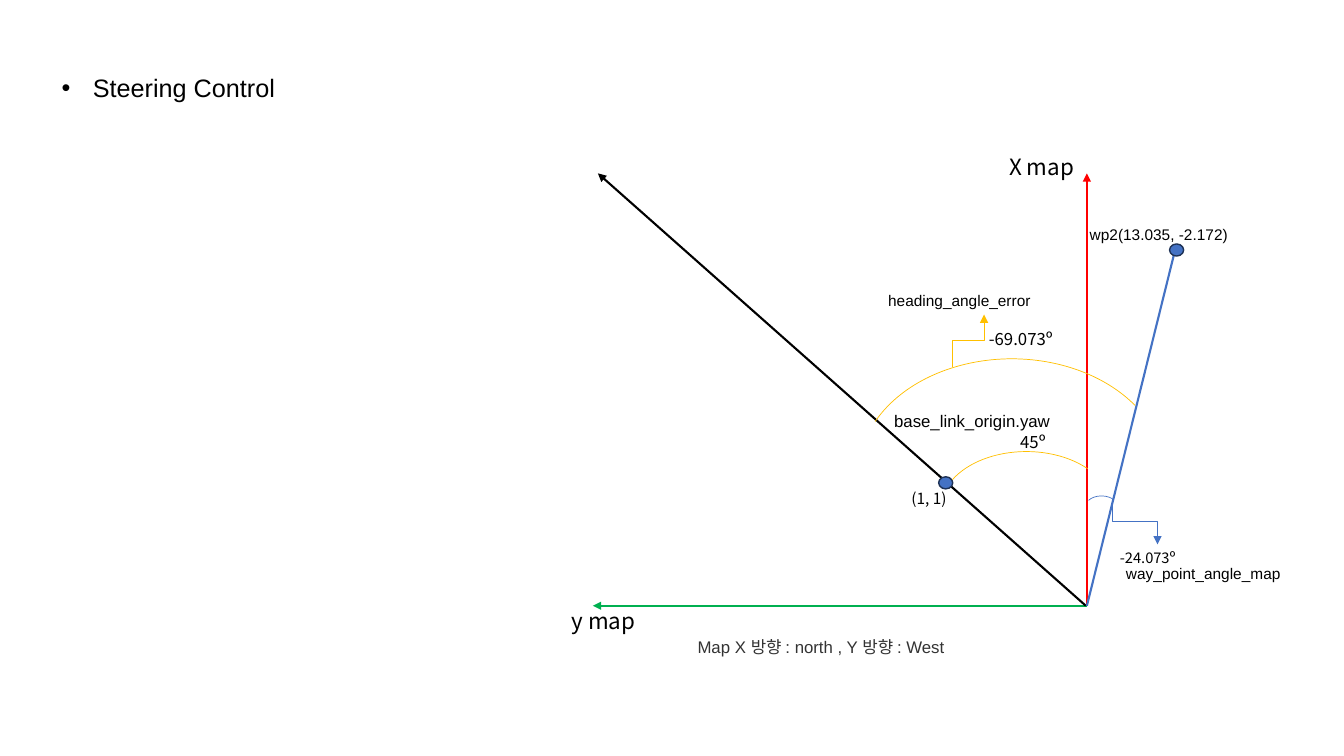
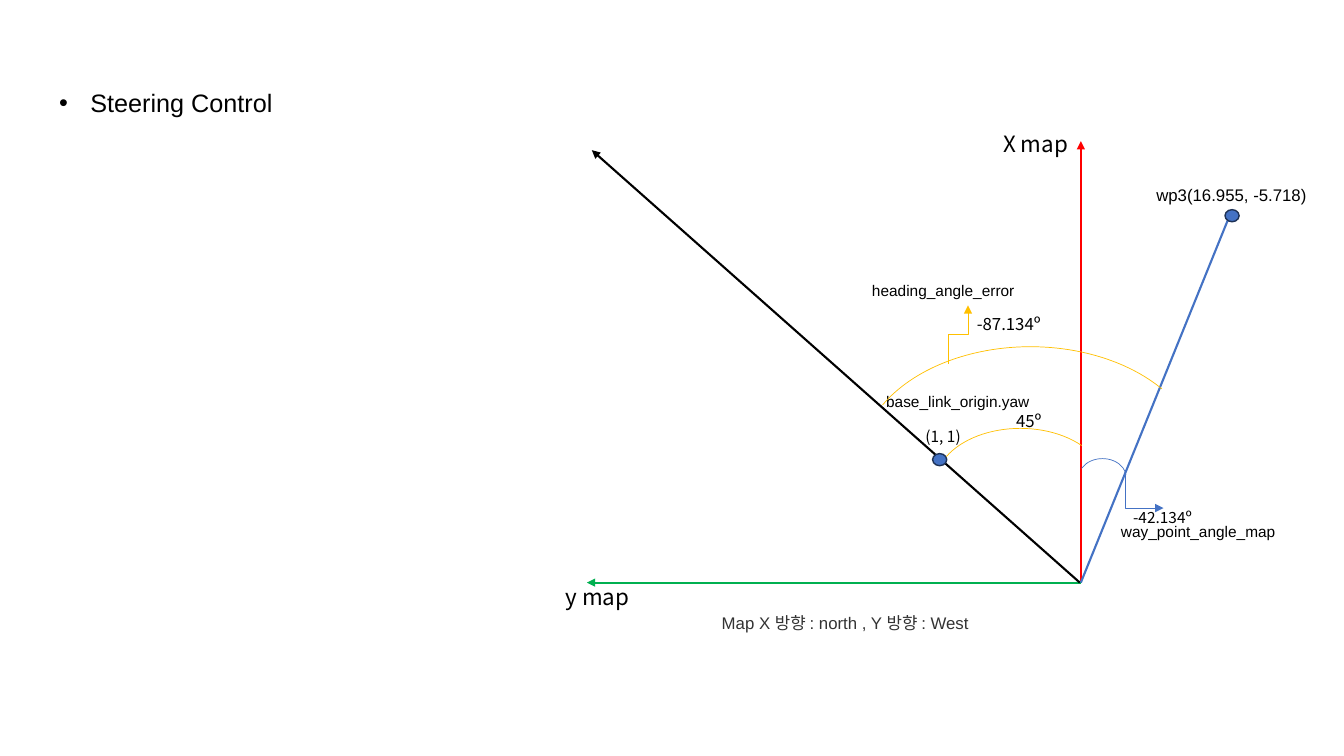
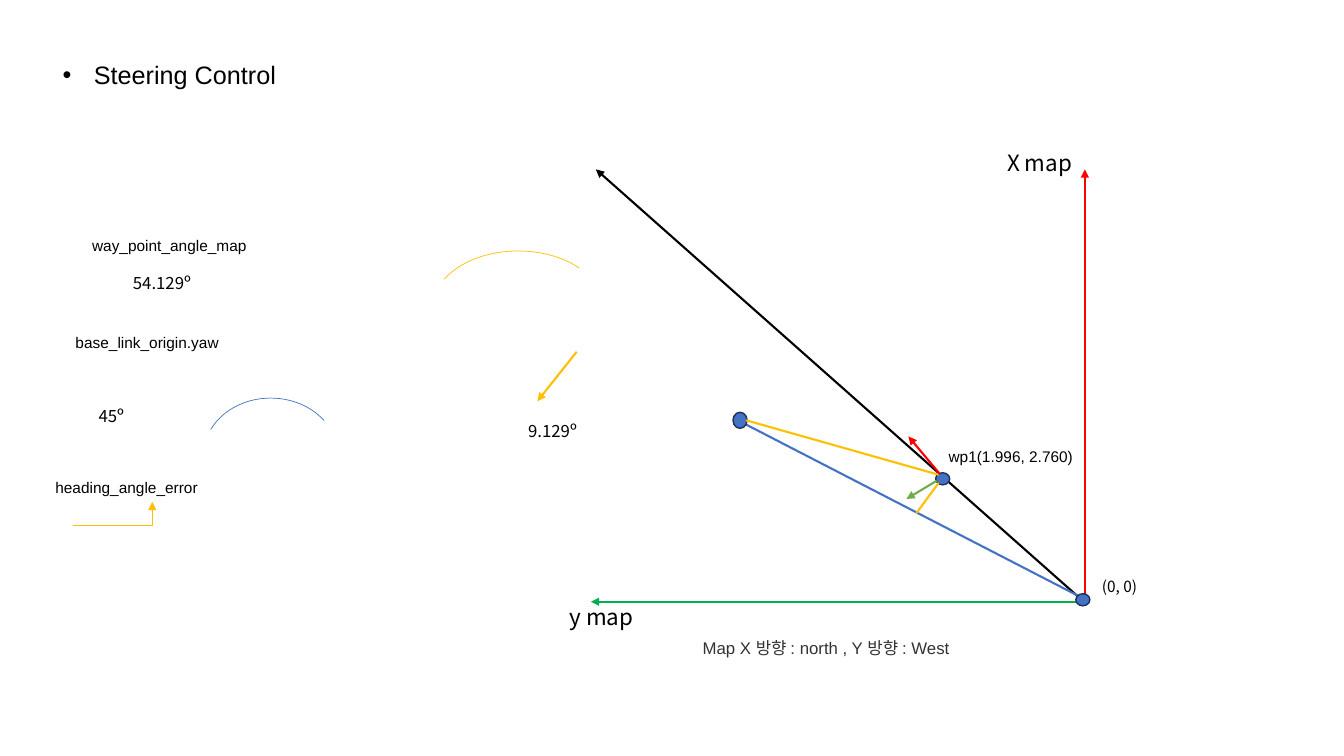
from lxml import etree
from pptx import Presentation
from pptx.dml.color import RGBColor
from pptx.enum.shapes import MSO_CONNECTOR, MSO_SHAPE
from pptx.enum.text import MSO_ANCHOR, MSO_AUTO_SIZE, PP_ALIGN
from pptx.oxml.ns import qn
from pptx.util import Inches, Pt

# Shared style
SANS, KOREAN = "Arial", "Noto Sans CJK KR"
BLACK, GRAY, RED, GREEN = "000000", "333333", "FF0000", "00B050"
BLUE, NAVY, YELLOW, LEAF = "4472C4", "1E3256", "FFC000", "70AD47"
THIN, THICK = 0.5, 1.5
DOT_W, DOT_H = 0.14, 0.12
YAW_ARC = (1.7, 1.13)
YAW_SWEEP = (201.32, 327.05)
ERROR_SWEEP = (201.32, 330.68)


def color(value):
    return RGBColor.from_string(value)


class Deck:
    def __init__(self):
        self.prs = Presentation()
        self.prs.slide_width, self.prs.slide_height = Inches(13.33), Inches(7.5)
        self.slide = None

    def new_slide(self, x, y, w):
        """Add a slide with its bulleted title."""
        self.slide = self.prs.slides.add_slide(self.prs.slide_layouts[5])
        title = self.slide.shapes.title
        title.left, title.top = Inches(x), Inches(y)
        title.width, title.height = Inches(w), Inches(0.4)
        self.set_text(title, "Steering Control", 18, SANS, BLACK, PP_ALIGN.CENTER)
        props = title.text_frame.paragraphs[0]._p.get_or_add_pPr()
        props.set("marL", str(Inches(0.31)))
        props.set("indent", str(Inches(-0.31)))
        etree.SubElement(props, qn("a:buFont")).set("typeface", SANS)
        etree.SubElement(props, qn("a:buChar")).set("char", "•")

    def set_text(self, shape, text, size, font, ink, align):
        frame = shape.text_frame
        frame.word_wrap = True
        frame.auto_size = MSO_AUTO_SIZE.NONE
        frame.vertical_anchor = MSO_ANCHOR.TOP
        paragraph = frame.paragraphs[0]
        paragraph.alignment = align
        run = paragraph.add_run()
        run.text = text
        run.font.size, run.font.name = Pt(size), font
        run.font.color.rgb = color(ink)
        east_asian = etree.SubElement(run._r.get_or_add_rPr(), qn("a:ea"))
        east_asian.set("typeface", KOREAN)

    def label(self, text, x, y, w, size=11, font=SANS, ink=BLACK,
              align=PP_ALIGN.LEFT):
        box = self.slide.shapes.add_textbox(
            Inches(x), Inches(y), Inches(w), Inches(0.1 + size / 60))
        self.set_text(box, text, size, font, ink, align)

    def value(self, text, x, y, w, size=12):
        self.label(text, x, y, w, size, KOREAN)

    def style_line(self, connector, ink, width, arrow):
        connector.line.color.rgb = color(ink)
        connector.line.width = Pt(width)
        if arrow:
            tail = etree.SubElement(connector.line._get_or_add_ln(), qn("a:tailEnd"))
            tail.set("type", "triangle")
        etree.SubElement(connector._element.spPr, qn("a:effectLst"))

    def line(self, start, end, ink, arrow=True):
        connector = self.slide.shapes.add_connector(
            MSO_CONNECTOR.STRAIGHT, *map(Inches, (*start, *end)))
        self.style_line(connector, ink, THICK, arrow)

    def elbow(self, start, end, ink, bends=2, vertical_first=True):
        """Draw a bent arrow; a quarter turn makes it leave vertically."""
        (x1, y1), (x2, y2) = start, end
        if vertical_first:
            mid_x, mid_y = (x1 + x2) / 2, (y1 + y2) / 2
            half_x, half_y = (x2 - x1) / 2, (y2 - y1) / 2
            x1, x2 = mid_x - half_y, mid_x + half_y
            y1, y2 = mid_y + half_x, mid_y - half_x
        connector = self.slide.shapes.add_connector(
            MSO_CONNECTOR.ELBOW, *map(Inches, (x1, y1, x2, y2)))
        props = connector._element.spPr
        if vertical_first:
            props.find(qn("a:xfrm")).set("rot", str(90 * 60000))
        props.find(qn("a:prstGeom")).set("prst", f"bentConnector{bends + 1}")
        self.style_line(connector, ink, THIN, True)

    def arc(self, x, y, size, sweep, ink):
        shape = self.slide.shapes.add_shape(
            MSO_SHAPE.ARC, *map(Inches, (x, y, *size)))
        shape.shadow.inherit = False
        shape.fill.background()
        shape.line.color.rgb = color(ink)
        shape.line.width = Pt(THIN)
        for i, degrees in enumerate(sweep):
            shape.adjustments[i] = degrees * 0.6

    def dot(self, x, y, h=DOT_H):
        shape = self.slide.shapes.add_shape(
            MSO_SHAPE.OVAL, *map(Inches, (x, y, DOT_W, h)))
        shape.shadow.inherit = False
        shape.fill.solid()
        shape.fill.fore_color.rgb = color(BLUE)
        shape.line.color.rgb = color(NAVY)
        shape.line.width = Pt(1)

    def axes(self, x, y, caption, x_length=4.29):
        """Draw map axes, heading line and caption around the origin."""
        self.line((x, y), (x, y - x_length), RED)
        self.label("X map", x - 0.87, y - 4.54, 1.07, 16, KOREAN)
        self.line((x, y), (x - 4.9, y), GREEN)
        self.label("y map", x - 5.21, y - 0.04, 1.16, 16, KOREAN)
        self.line((x - 0.01, y), (x - 4.85, y - 4.29), BLACK)
        self.label("Map X 방향 : north , Y 방향 : West", *caption, 12, ink=GRAY)

    def waypoint(self, origin, x, y):
        """Draw the line to a waypoint and the dot at its end."""
        self.line(origin, (x, y), BLUE)
        self.dot(x - DOT_W / 2, y)

    def yaw(self, x, y):
        """Draw the vehicle dot and its 45 degree arc."""
        self.dot(x, y)
        self.arc(x + 0.02, y - 0.25, YAW_ARC, YAW_SWEEP, YELLOW)

    def angle_name(self, x, y, w):
        self.label("way_point_angle_map", x, y, w, align=PP_ALIGN.CENTER)


deck = Deck()

# Slide 1: second waypoint
deck.new_slide(0.21, 0.67, 2.92)
deck.axes(10.78, 6.01, (6.82, 6.27, 3.4))
deck.waypoint((10.78, 6.01), 11.67, 2.42)
deck.label("wp2(13.035, -2.172)", 10.71, 2.18, 1.7)
deck.yaw(9.31, 4.73)
deck.value("(1, 1)", 8.94, 4.8, 1.08, 11)
deck.label("base_link_origin.yaw", 8.77, 4.03, 2.07, 12)
deck.value("45º", 10.02, 4.23, 0.8)
deck.arc(8.51, 3.56, (3.05, 2.3), ERROR_SWEEP, YELLOW)
deck.elbow((9.45, 3.64), (9.76, 3.12), YELLOW)
deck.label("heading_angle_error", 8.71, 2.84, 2.11)
deck.value("-69.073º", 9.71, 3.21, 0.93)
deck.arc(10.77, 4.92, (0.31, 0.2), (203.07, 327.05), BLUE)
deck.elbow((11.03, 4.95), (11.48, 5.4), BLUE)
deck.value("-24.073º", 11.01, 5.4, 0.93, 10.5)
deck.angle_name(11.01, 5.55, 1.85)

# Slide 2: third waypoint
deck.new_slide(0.13, 0.82, 3.03)
deck.axes(10.72, 5.78, (7.06, 6.03, 2.98), 4.38)
deck.waypoint((10.72, 5.78), 12.22, 2.08)
deck.label("wp3(16.955, -5.718)", 11.37, 1.78, 1.72, 12)
deck.yaw(9.25, 4.5)
deck.value("(1, 1)", 9.08, 4.19, 1.08, 11)
deck.label("base_link_origin.yaw", 8.69, 3.84, 2.05)
deck.value("45º", 9.98, 4.03, 0.8)
deck.arc(8.53, 3.44, (3.38, 2.3), ERROR_SWEEP, YELLOW)
deck.elbow((9.41, 3.61), (9.6, 3.03), YELLOW)
deck.label("heading_angle_error", 8.55, 2.74, 2.11)
deck.value("-87.134º", 9.59, 3.06, 0.93)
deck.arc(10.7, 4.55, (0.47, 0.37), (203.07, 354.52), BLUE)
deck.elbow((11.16, 4.71), (11.54, 5.04), BLUE, bends=1)
deck.value("-42.134º", 11.14, 4.99, 1.11, 11)
deck.angle_name(10.92, 5.13, 1.93)

# Slide 3: first waypoint
deck.new_slide(0.33, 0.54, 2.7)
deck.axes(10.76, 5.97, (6.87, 6.28, 2.97))
deck.line((10.77, 5.95), (7.28, 4.15), BLUE)
deck.dot(7.27, 4.09, 0.16)
deck.dot(9.28, 4.69)
deck.label("wp1(1.996, 2.760)", 9.31, 4.39, 1.7)
deck.dot(10.67, 5.89)
deck.value("(0, 0)", 10.83, 5.68, 0.69, 11)
deck.line((7.4, 4.17), (9.31, 4.71), YELLOW, arrow=False)
deck.line((9.29, 4.77), (8.99, 4.95), LEAF)
deck.line((9.32, 4.7), (9.01, 4.33), RED)
deck.line((9.31, 4.79), (9.09, 5.09), YELLOW, arrow=False)

# Slide 3: angle legend
deck.angle_name(0.62, 2.29, 2.12)
deck.value("54.129º", 1.22, 2.66, 0.93)
deck.label("base_link_origin.yaw", 0.65, 3.26, 2.09)
deck.value("45º", 0.88, 3.98, 0.8)
deck.arc(2.02, 3.95, (1.33, 1.13), (203.07, 327.05), BLUE)
deck.arc(4.29, 2.49, YAW_ARC, YAW_SWEEP, YELLOW)
deck.line((5.72, 3.49), (5.33, 3.98), YELLOW)
deck.value("9.129º", 5.14, 4.12, 0.84)
deck.label("heading_angle_error", 0.45, 4.69, 2.11)
deck.elbow((0.72, 5.21), (1.51, 4.98), YELLOW, bends=1, vertical_first=False)

deck.prs.save("out.pptx")
